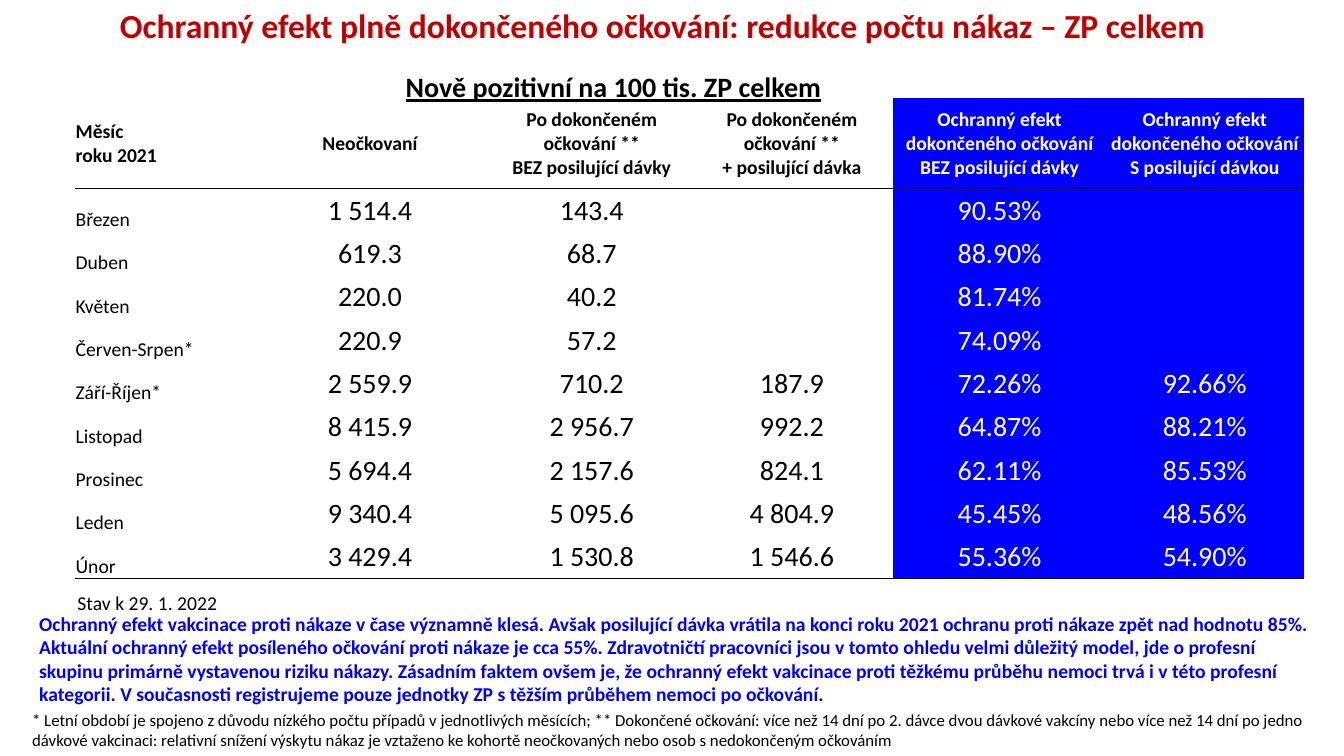
"""Build the slide on the protective effect of completed vaccination."""
from lxml import etree
from pptx import Presentation
from pptx.dml.color import RGBColor
from pptx.enum import text
from pptx.oxml import ns
from pptx.util import Inches, Pt

RED = RGBColor(0xC0, 0, 0)
BLUE = RGBColor(0, 0, 0xFF)
BLACK = RGBColor(0, 0, 0)
WHITE = RGBColor(0xFF, 0xFF, 0xFF)
CENTER, LEFT = text.PP_ALIGN.CENTER, text.PP_ALIGN.LEFT
MIDDLE, BOTTOM = text.MSO_ANCHOR.MIDDLE, text.MSO_ANCHOR.BOTTOM

TITLE = "Ochranný efekt plně dokončeného očkování: redukce počtu nákaz – ZP celkem"
SUBTITLE = "Nově pozitivní na 100 tis. ZP celkem"
FOOTNOTE = (
    "* Letní období je spojeno z důvodu nízkého počtu případů v jednotlivých měsících; "
    "** Dokončené očkování: více než 14 dní po 2. dávce dvou dávkové vakcíny nebo více než "
    "14 dní po jedno dávkové vakcinaci: relativní snížení výskytu nákaz je vztaženo ke "
    "kohortě neočkovaných nebo osob s nedokončeným očkováním"
)
STATUS = "Stav k 29. 1. 2022"
CONCLUSION = (
    "Ochranný efekt vakcinace proti nákaze v čase významně klesá. Avšak posilující dávka "
    "vrátila na konci roku 2021 ochranu proti nákaze zpět nad hodnotu 85%. Aktuální ochranný "
    "efekt posíleného očkování proti nákaze je cca 55%. Zdravotničtí pracovníci jsou v tomto "
    "ohledu velmi důležitý model, jde o profesní skupinu primárně vystavenou riziku nákazy. "
    "Zásadním faktem ovšem je, že ochranný efekt vakcinace proti těžkému průběhu nemoci trvá "
    "i v této profesní kategorii. V současnosti registrujeme pouze jednotky ZP s těžším "
    "průběhem nemoci po očkování."
)
HEADINGS = [
    ["Měsíc", "roku 2021"],
    ["Neočkovaní"],
    ["Po dokončeném", "očkování **", "BEZ posilující dávky"],
    ["Po dokončeném", "očkování **", "+ posilující dávka"],
    ["Ochranný efekt dokončeného očkování BEZ posilující dávky"],
    ["Ochranný efekt dokončeného očkování S posilující dávkou"],
]
MONTHS = [
    ("Březen", "1 514.4", "143.4", "", "90.53%", ""),
    ("Duben", "619.3", "68.7", "", "88.90%", ""),
    ("Květen", "220.0", "40.2", "", "81.74%", ""),
    ("Červen-Srpen*", "220.9", "57.2", "", "74.09%", ""),
    ("Září-Říjen*", "2 559.9", "710.2", "187.9", "72.26%", "92.66%"),
    ("Listopad", "8 415.9", "2 956.7", "992.2", "64.87%", "88.21%"),
    ("Prosinec", "5 694.4", "2 157.6", "824.1", "62.11%", "85.53%"),
    ("Leden", "9 340.4", "5 095.6", "4 804.9", "45.45%", "48.56%"),
    ("Únor", "3 429.4", "1 530.8", "1 546.6", "55.36%", "54.90%"),
]
COLUMN_WIDTHS = [1.71, 2.44, 1.96, 2.01, 2.11, 1.96]
ROW_HEIGHT, HEADING_HEIGHT = 0.43, 0.9
FIRST_EFFECT_COLUMN = 4


def write(frame, lines, size, color, bold=False, align=LEFT, underline=False):
    for i, line in enumerate(lines):
        paragraph = frame.paragraphs[0] if i == 0 else frame.add_paragraph()
        paragraph.alignment = align
        run = paragraph.add_run()
        run.text = line
        run.font.name = "Calibri"
        run.font.size = Pt(size)
        run.font.bold = bold
        run.font.underline = underline
        run.font.color.rgb = color


def add_note(slide, box, content, size, color, **style):
    frame = slide.shapes.add_textbox(*map(Inches, box)).text_frame
    frame.word_wrap = True
    write(frame, [content], size, color, **style)


def underline_cell(cell):
    border = etree.Element(ns.qn("a:lnB"), w=str(Pt(1)))
    fill = etree.SubElement(border, ns.qn("a:solidFill"))
    etree.SubElement(fill, ns.qn("a:srgbClr"), val=str(BLACK))
    cell._tc.get_or_add_tcPr().insert(0, border)


def fill_cell(cell, lines, row, column):
    heading, effect = row == 1, column >= FIRST_EFFECT_COLUMN
    if effect:
        cell.fill.solid()
        cell.fill.fore_color.rgb = BLUE
    else:
        cell.fill.background()
    if heading or row == len(MONTHS) + 1:
        underline_cell(cell)
    if not lines[0]:
        return
    cell.margin_left = cell.margin_right = cell.margin_top = Inches(0.01)
    cell.margin_bottom = 0
    cell.vertical_anchor = MIDDLE if heading or column else BOTTOM
    write(cell.text_frame, lines, 14 if heading or column == 0 else 20,
          WHITE if effect else BLACK, bold=heading, align=CENTER if column else LEFT)


def add_month_table(slide):
    heights = [ROW_HEIGHT, HEADING_HEIGHT] + [ROW_HEIGHT] * len(MONTHS)
    box = (0.74, 0.54, sum(COLUMN_WIDTHS), sum(heights))
    table = slide.shapes.add_table(len(heights), len(COLUMN_WIDTHS), *map(Inches, box)).table
    table.first_row = table.horz_banding = False
    no_grid = "{2D5ABB26-0587-4C30-8999-92F81FD0307C}"
    table._tbl.tblPr.find(ns.qn("a:tableStyleId")).text = no_grid
    for column, width in zip(table.columns, COLUMN_WIDTHS):
        column.width = Inches(width)
    for row, height in zip(table.rows, heights):
        row.height = Inches(height)
    for cell in table.rows[0].cells:
        cell.fill.background()
    table.cell(0, 2).merge(table.cell(0, 5))
    body = [[[value] for value in month] for month in MONTHS]
    for r, row in enumerate([HEADINGS] + body, start=1):
        for c, lines in enumerate(row):
            fill_cell(table.cell(r, c), lines, r, c)


def main():
    prs = Presentation()
    prs.slide_width, prs.slide_height = Inches(13.33), Inches(7.5)
    slide = prs.slides.add_slide(prs.slide_layouts[5])

    title = slide.shapes.title
    title.left, title.top, title.width, title.height = map(Inches, (0.22, 0.04, 12.7, 1.45))
    title.text_frame.vertical_anchor = text.MSO_ANCHOR.TOP
    title.text_frame.word_wrap = True
    write(title.text_frame, [TITLE], 24, RED, bold=True, align=CENTER)
    title.text_frame.paragraphs[0].line_spacing = 0.9

    add_note(slide, (3.87, 0.64, 4.43, 0.44), SUBTITLE, 20, BLACK,
             bold=True, align=CENTER, underline=True)
    add_note(slide, (0.22, 6.99, 12.99, 0.5), FOOTNOTE, 12, BLACK)
    add_month_table(slide)
    add_note(slide, (0.67, 5.81, 2.21, 0.34), STATUS, 14, BLACK)
    add_note(slide, (0.29, 6.02, 12.87, 1.04), CONCLUSION, 14, BLUE, bold=True)
    prs.save("out.pptx")


if __name__ == "__main__":
    main()
